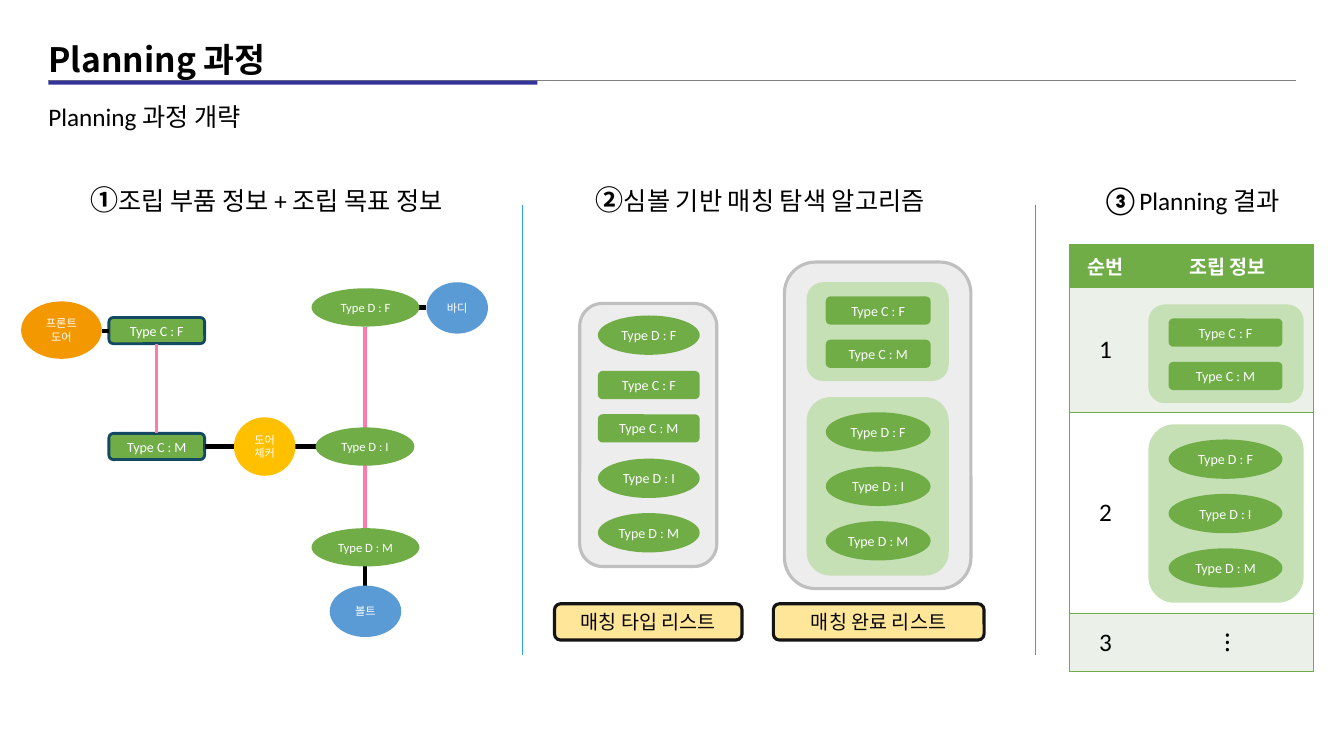
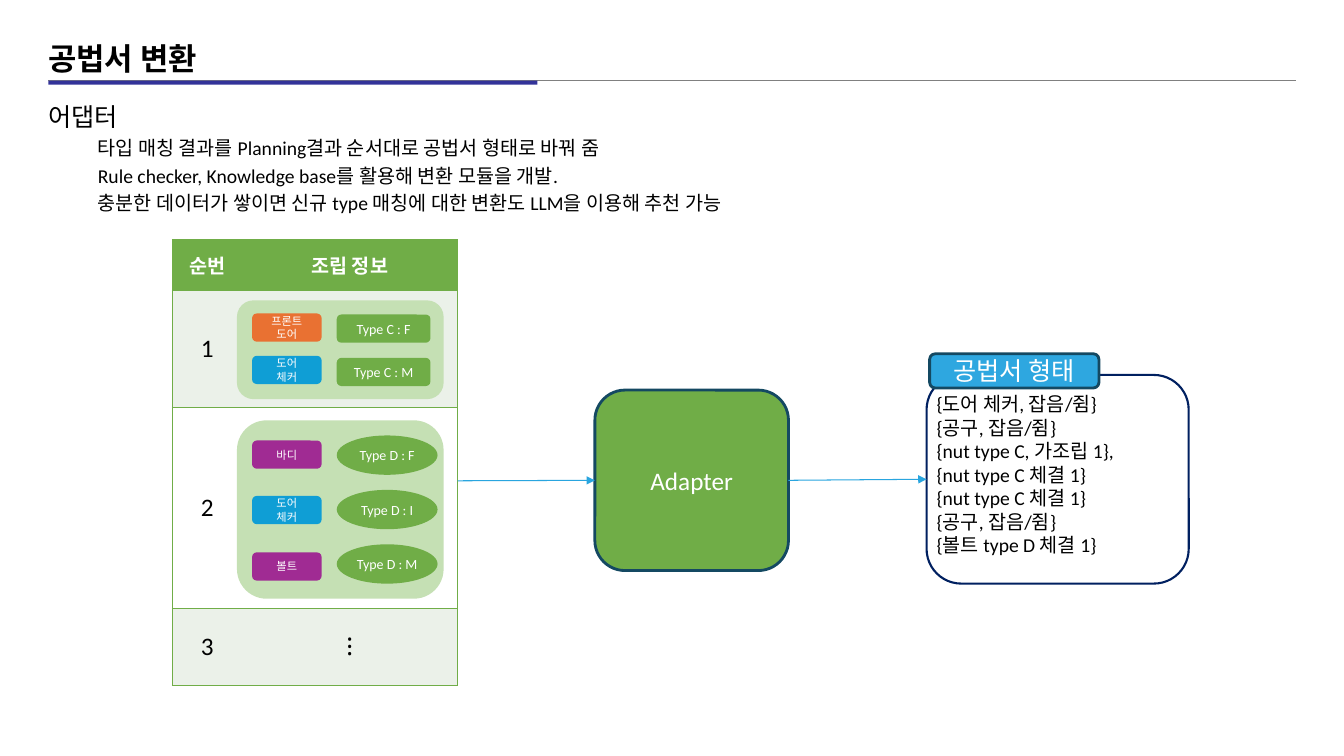
from dataclasses import dataclass
from typing import Any, NamedTuple, Sequence

from lxml.etree import SubElement
from pptx import Presentation
from pptx.dml.color import RGBColor
from pptx.enum.shapes import MSO_AUTO_SHAPE_TYPE as Form, MSO_CONNECTOR_TYPE as Route
from pptx.enum.text import MSO_ANCHOR as Anchor, MSO_AUTO_SIZE as Fit, PP_ALIGN as Align
from pptx.oxml.ns import qn
from pptx.util import Emu, Pt

PX = 9144
LATIN = "Calibri"
HANGUL = "Noto Sans CJK KR"
BLACK, WHITE = "000000", "FFFFFF"
GREEN, PALE_GREEN, ROW_TINT = "70AD47", "C5E0B4", "EBF1E9"
GREY, SILVER, SKY, NAVY, PINK = "EDEDED", "BFBFBF", "29A5DF", "144962", "FF79A9"
ROUND, OVAL = Form.ROUNDED_RECTANGLE, Form.OVAL


class Box(NamedTuple):
    left: int
    top: int
    width: int
    height: int


class Span(NamedTuple):
    text: str
    size: int = 18
    color: str = BLACK
    bold: bool = False
    font: str = LATIN


class Stroke(NamedTuple):
    color: str
    points: float


class Edge(NamedTuple):
    x1: int
    y1: int
    x2: int
    y2: int
    stroke: Stroke


@dataclass(frozen=True)
class TypeKind:
    letter: str
    marks: str
    form: Any
    height: int
    pitch: int
    pad: int
    panel_height: int


@dataclass(frozen=True)
class Part:
    lines: tuple[str, ...]
    box: Box
    fill: str
    form: Any = OVAL


TYPE_C = TypeKind("C", "FM", ROUND, 28, 43, 14, 98)
TYPE_D = TypeKind("D", "FIM", OVAL, 39, 54, 15, 177)
LINK, MATE, FLOW = Stroke(BLACK, 3), Stroke(PINK, 2.25), Stroke(SKY, 0.75)
FRAME, OUTLINE = Stroke(SILVER, 2.25), Stroke(NAVY, 2)


def emu(*lengths: int) -> list[Emu]:
    return [Emu(length * PX) for length in lengths]


def rgb(color: str) -> RGBColor:
    return RGBColor.from_string(color)


def apply(target: Any, values: dict[str, Any]) -> None:
    for name, value in values.items():
        setattr(target, name, value)


def write(frame: Any, paras: Sequence[Sequence[Span]], align: Any = Align.CENTER) -> None:
    for index, spans in enumerate(paras):
        para = frame.paragraphs[0] if index == 0 else frame.add_paragraph()
        para.alignment = align
        for span in spans:
            run = para.add_run()
            run.text = span.text
            apply(run.font, {"name": span.font, "size": Pt(span.size), "bold": span.bold})
            run.font.color.rgb = rgb(span.color)
            SubElement(run.font._element, qn("a:ea"), typeface=HANGUL)


def paint_line(line: Any, stroke: Stroke) -> None:
    line.fill.solid()
    line.fill.fore_color.rgb = rgb(stroke.color)
    line.width = Pt(stroke.points)


def add_box(page: Any, form: Any, box: Box, fill: str | None = None, stroke: Stroke | None = None,
            spans: Sequence[Span] = (), inset: int = 0) -> Any:
    shape = page.shapes.add_shape(form, *emu(*box))
    shape.shadow.inherit = False
    if fill:
        shape.fill.solid()
        shape.fill.fore_color.rgb = rgb(fill)
    else:
        shape.fill.background()
    if stroke:
        paint_line(shape.line, stroke)
    else:
        shape.line.fill.background()
    apply(shape.text_frame, {
        "word_wrap": True, "vertical_anchor": Anchor.MIDDLE,
        "margin_left": Emu(inset * PX), "margin_right": Emu(inset * PX),
        "margin_top": Emu(inset * PX // 2), "margin_bottom": Emu(inset * PX // 2)})
    write(shape.text_frame, [[span] for span in spans])
    return shape


def add_text(page: Any, box: Box, paras: Sequence[Sequence[Span]], align: Any = Align.CENTER) -> None:
    frame = page.shapes.add_textbox(*emu(*box)).text_frame
    frame.word_wrap = True
    write(frame, paras, align)


def add_edge(page: Any, edge: Edge, begin: tuple[Any, int] | None = None,
             end: tuple[Any, int] | None = None, arrow: bool = False) -> None:
    link = page.shapes.add_connector(Route.STRAIGHT, *emu(*edge[:4]))
    paint_line(link.line, edge.stroke)
    if arrow:
        SubElement(link.line._get_or_add_ln(), qn("a:tailEnd"), type="triangle")
    SubElement(link._element.spPr, qn("a:effectLst"))
    if begin:
        link.begin_connect(*begin)
    if end:
        link.end_connect(*end)


def add_type(page: Any, kind: TypeKind, mark: str, box: Box, size: int = 10,
             stroke: Stroke | None = None) -> Any:
    label = Span(f"Type {kind.letter} : {mark}", size, WHITE)
    return add_box(page, kind.form, box, GREEN, stroke, [label])


def add_stack(page: Any, kind: TypeKind, marks: str, left: int, top: int, width: int) -> None:
    for index, mark in enumerate(marks):
        add_type(page, kind, mark, Box(left, top + index * kind.pitch, width, kind.height))


def add_panel(page: Any, kind: TypeKind, left: int, top: int, width: int,
              chip_left: int, chip_width: int) -> None:
    add_box(page, ROUND, Box(left, top, width, kind.panel_height), PALE_GREEN)
    add_stack(page, kind, kind.marks, chip_left, top + kind.pad, chip_width)


def add_part(page: Any, part: Part) -> None:
    add_box(page, part.form, part.box, part.fill, None,
            [Span(line, 8, WHITE) for line in part.lines], 10)


def add_border(cell: Any, column: int) -> None:
    shown = {"a:lnL": column == 0, "a:lnR": column == 1, "a:lnT": True, "a:lnB": True}
    for tag, visible in shown.items():
        line = SubElement(cell._tc.get_or_add_tcPr(), qn(tag), w=str(Pt(1)))
        if visible:
            SubElement(SubElement(line, qn("a:solidFill")), qn("a:srgbClr"), val=GREEN)
        else:
            SubElement(line, qn("a:noFill"))


def add_order_table(page: Any, box: Box, widths: Sequence[int], heights: Sequence[int]) -> None:
    rows = (("순번", "조립 정보"), ("1", ""), ("2", ""), ("3", "⁝"))
    fills = (GREEN, ROW_TINT, WHITE, ROW_TINT)
    table = page.shapes.add_table(len(rows), 2, *emu(*box)).table
    for column, width in zip(table.columns, emu(*widths)):
        column.width = width
    for row, height in zip(table.rows, emu(*heights)):
        row.height = height
    for r, texts in enumerate(rows):
        for c, text in enumerate(texts):
            cell = table.cell(r, c)
            add_border(cell, c)
            cell.fill.solid()
            cell.fill.fore_color.rgb = rgb(fills[r])
            cell.vertical_anchor = Anchor.MIDDLE
            if text:
                span = Span(text) if r else Span(text, 14, WHITE, True)
                write(cell.text_frame, [[span]])


def place(holder: Any, box: Box) -> Any:
    apply(holder, dict(zip(("left", "top", "width", "height"), emu(*box))))
    apply(holder.text_frame, {"word_wrap": True, "auto_size": Fit.NONE,
                              "vertical_anchor": Anchor.TOP})
    return holder.text_frame


def add_page(deck: Any, title: str, title_size: int, topic: str, details: Sequence[str] = ()) -> Any:
    page = deck.slides.add_slide(deck.slide_layouts[1])
    add_edge(page, Edge(48, 80, 1285, 80, Stroke("808080", 1)))
    add_box(page, Form.RECTANGLE, Box(48, 80, 485, 4), "333399")
    heading = place(page.shapes.title, Box(38, 34, 667, 50))
    write(heading, [[Span(title, title_size, BLACK, True, HANGUL)]], Align.LEFT)
    body = place(page.placeholders[1], Box(38, 78, 1247, 143 if details else 52))
    write(body, [[Span(topic)], *([Span(line, 14)] for line in details)], Align.LEFT)
    body.paragraphs[0].line_spacing = 1.6
    for index, para in enumerate(body.paragraphs):
        props = para._p.get_or_add_pPr()
        props.set("marL", str(49 * PX if index else 0))
        props.set("indent", "0")
        SubElement(props, qn("a:buNone"))
    return page


def draw_graph(page: Any) -> None:
    for edge in (Edge(362, 324, 362, 524, MATE), Edge(313, 443, 293, 443, LINK),
                 Edge(416, 305, 423, 305, LINK), Edge(362, 562, 362, 581, LINK)):
        add_edge(page, edge)
    for part in (Part(("도어", "체커"), Box(232, 414, 61, 58), "FFC000"),
                 Part(("프론트 도어",), Box(21, 299, 80, 57), "F39800"),
                 Part(("바디",), Box(423, 280, 61, 51), "5B9BD5"),
                 Part(("볼트",), Box(327, 581, 71, 51), "5B9BD5")):
        add_part(page, part)
    female, male = (add_type(page, TYPE_C, mark, Box(108, top, 95, 26), 10, OUTLINE)
                    for mark, top in (("F", 315), ("M", 430)))
    for mark, box in (("F", Box(309, 286, 107, 38)), ("I", Box(313, 424, 98, 38)),
                      ("M", Box(309, 524, 107, 38))):
        add_type(page, TYPE_D, mark, box, 9)
    add_edge(page, Edge(101, 328, 108, 328, LINK), end=(female, 1))
    add_edge(page, Edge(203, 443, 232, 443, LINK), begin=(male, 3))
    add_edge(page, Edge(155, 341, 155, 430, MATE), (female, 2), (male, 0))


def draw_planning(deck: Any) -> None:
    page = add_page(deck, "Planning 과정", 24, "Planning 과정 개략")
    for number, text, left, width in (("①", "조립 부품 정보 + 조립 목표 정보", 43, 443),
                                      ("②", "심볼 기반 매칭 탐색 알고리즘", 557, 394),
                                      ("③", "Planning 결과", 1052, 258)):
        add_text(page, Box(left, 176, width, 44), [[Span(number, 20, BLACK, True), Span(text)]])
    for x in (518, 1027):
        add_edge(page, Edge(x, 203, x, 650, FLOW))
    draw_graph(page)

    add_box(page, ROUND, Box(575, 301, 136, 261), GREY, FRAME)
    for kind, marks, top in ((TYPE_D, "F", 313), (TYPE_C, "FM", 368), (TYPE_D, "IM", 455)):
        add_stack(page, kind, marks, 593, top, 101)
    add_box(page, ROUND, Box(778, 260, 185, 324), GREY, FRAME)
    for kind, top in ((TYPE_C, 280), (TYPE_D, 394)):
        add_panel(page, kind, 800, top, 141, 819, 104)
    for text, left, width in (("매칭 타입 리스트", 550, 186), ("매칭 완료 리스트", 767, 209)):
        add_box(page, ROUND, Box(left, 599, width, 36), "FFE699", Stroke("141414", 2.25),
                [Span(text, 14, "060606")])

    add_order_table(page, Box(1061, 243, 242, 423), (71, 171), (42, 124, 200, 57))
    for kind, top in ((TYPE_C, 302), (TYPE_D, 421)):
        add_panel(page, kind, 1139, top, 154, 1159, 113)


def draw_conversion(deck: Any) -> None:
    page = add_page(deck, "공법서 변환", 22, "어댑터", (
        "타입 매칭 결과를 Planning결과 순서대로 공법서 형태로 바꿔 줌",
        "Rule checker, Knowledge base를 활용해 변환 모듈을 개발.",
        "충분한 데이터가 쌓이면 신규 type 매칭에 대한 변환도 LLM을 이용해 추천 가능"))
    add_order_table(page, Box(171, 238, 283, 443), (69, 214), (50, 116, 200, 76))
    for kind, top, chip_width in ((TYPE_C, 298, 93), (TYPE_D, 417, 100)):
        add_panel(page, kind, 235, top, 205, 334, chip_width)
    for lines, top, fill in ((("프론트 도어",), 311, "E97132"), (("도어", "체커"), 353, "0F9ED5"),
                             (("바디",), 437, "A02B93"), (("도어", "체커"), 492, "0F9ED5"),
                             (("볼트",), 548, "A02B93")):
        add_part(page, Part(lines, Box(250, top, 69, 28), fill, ROUND))

    adapter = add_box(page, ROUND, Box(590, 387, 192, 179), GREEN, OUTLINE,
                      [Span("Adapter", 18, WHITE)])
    result = add_box(page, ROUND, Box(919, 372, 260, 207), None, Stroke("002060", 1.5))
    add_edge(page, Edge(454, 477, 590, 476, FLOW), end=(adapter, 1), arrow=True)
    add_edge(page, Edge(782, 476, 919, 476, FLOW), (adapter, 3), (result, 1), True)
    add_box(page, ROUND, Box(922, 351, 168, 34), "2EA7E0", OUTLINE,
            [Span("공법서 형태", 18, WHITE)])
    steps = ("{도어 체커, 잡음/쥠}", "{공구, 잡음/쥠}", "{nut type C, 가조립 1},",
             "{nut type C 체결 1}", "{nut type C 체결 1}", "{공구, 잡음/쥠}",
             "{볼트 type D 체결 1}")
    add_text(page, Box(919, 384, 262, 222), [[Span(step, 14)] for step in steps], Align.LEFT)


def main() -> None:
    deck = Presentation()
    deck.slide_width, deck.slide_height = emu(1333, 750)
    draw_planning(deck)
    draw_conversion(deck)
    deck.save("out.pptx")


if __name__ == "__main__":
    main()
